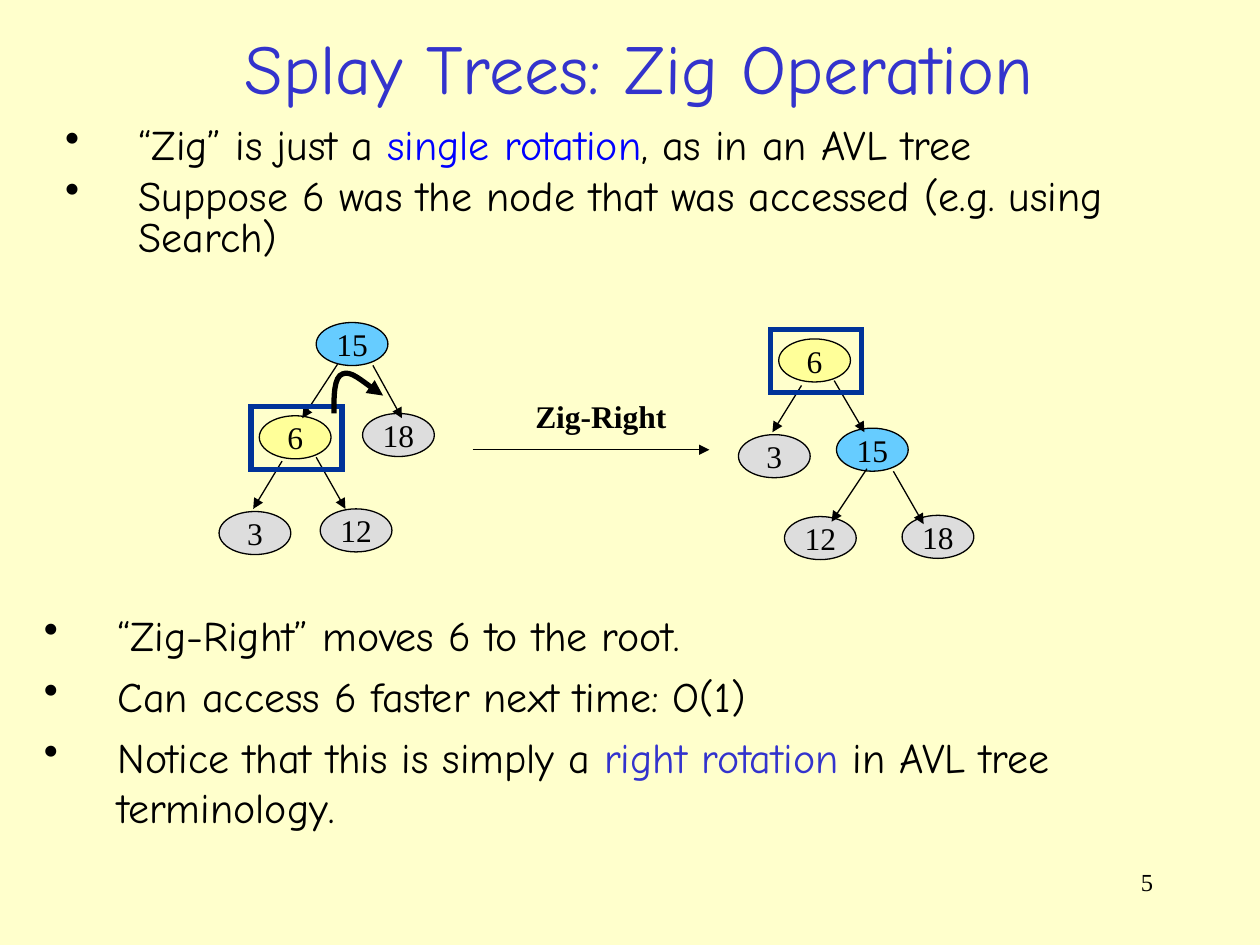
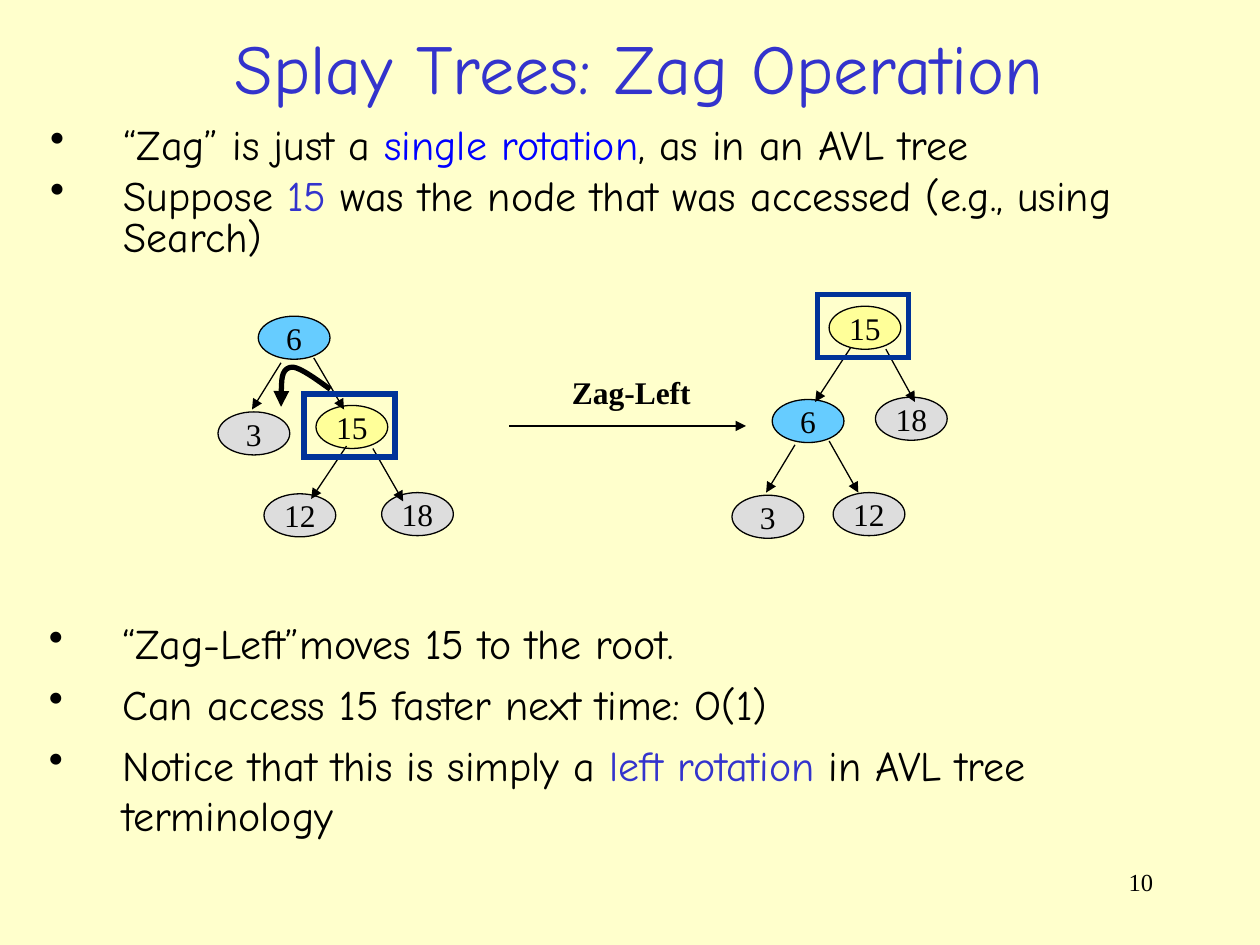
from dataclasses import dataclass

from lxml.etree import SubElement
from pptx import Presentation
from pptx.dml.color import RGBColor
from pptx.enum.shapes import MSO_CONNECTOR, MSO_SHAPE
from pptx.enum.text import MSO_ANCHOR, MSO_AUTO_SIZE, PP_ALIGN
from pptx.oxml.ns import qn
from pptx.util import Pt


@dataclass(frozen=True)
class Theme:
    paper: str = "FFFFCC"
    ink: str = "000000"
    accent: str = "3333CC"
    highlight: str = "0000FF"
    frame: str = "003399"
    accessed: str = "FFFF99"
    partner: str = "66CCFF"
    plain: str = "DDDDDD"
    hand: str = "Comic Neue"
    serif: str = "Times New Roman"
    title_size: int = 40
    body_size: int = 24
    node_size: int = 18
    number_size: int = 14
    thin: float = 0.75
    thick: float = 3


theme = Theme()
INDENT = 42


def write(shape, paragraphs, font, size, colour=theme.ink, bold=None,
          bullet=False, frame=None, **para_format):
    """Fill a shape with paragraphs, each a list of (text, colour or None) spans."""
    for name, value in {"word_wrap": True, **(frame or {})}.items():
        setattr(shape.text_frame, name, value)
    for index, spans in enumerate(paragraphs):
        para = shape.text_frame.add_paragraph() if index else shape.text_frame.paragraphs[0]
        for name, value in para_format.items():
            setattr(para, name, value)
        if bullet:
            settings = para._p.get_or_add_pPr()
            settings.set("marL", str(Pt(INDENT)))
            settings.set("indent", str(-Pt(INDENT)))
            SubElement(SubElement(settings, qn("a:buClr")), qn("a:srgbClr"), val=theme.ink)
            SubElement(settings, qn("a:buChar"), char="•")
        for text, span_colour in spans:
            span = para.add_run()
            span.text = text
            for name, value in {"name": font, "size": Pt(size), "bold": bold}.items():
                setattr(span.font, name, value)
            span.font.color.rgb = RGBColor.from_string(span_colour or colour)


def outline(shape, colour=theme.ink, width=theme.thin, arrow=None):
    """Set a sharp-cornered line and no shadow; arrow is "headEnd" (start) or "tailEnd" (finish)."""
    shape.line.color.rgb = RGBColor.from_string(colour)
    shape.line.width = Pt(width)
    line = shape.line._get_or_add_ln()
    SubElement(line, qn("a:miter"), lim="800000")
    if arrow:
        SubElement(line, qn(f"a:{arrow}"), type="triangle")
    SubElement(shape.element.spPr, qn("a:effectLst"))


NODE_SIZE = Pt(41), Pt(24.6)
FRAME_SIZE = Pt(52), Pt(36)

# Node corners and edge ends, measured from the corner of the root node.
tree_15 = {
    "nodes": {15: (0, 0), 6: (-32.5, 53.3), 18: (26.5, 52), 3: (-55.5, 108), 12: (2.3, 106.5)},
    "edges": [(12.2, 23.8, -8, 54.7), (32.4, 24.5, 49, 54.7),
              (0, 77, 16.7, 106.5), (-19.5, 79.2, -36, 106.5)],
}
tree_6 = {
    "nodes": {6: (0, 0), 15: (33, 51), 18: (70.5, 100.8), 3: (-23, 54.7), 12: (3.3, 101.5)},
    "edges": [(50.4, 74.2, 30.2, 104.4), (65.5, 75.6, 82.8, 105.8),
              (31.7, 23.8, 49, 53.3), (13, 26.6, -3.6, 53.3)],
}
# Start of the rotation curve, then three points for each Bézier segment.
curve_points = [(0, 24.5), (0, 14.4), (0, 3.6), (5, 2),
                (9.4, 0), (24.5, 12.2), (28.1, 14.4)]

operations = [
    {
        "name": "Zig", "turn": "Zig-Right", "number": "5", "accessed": 6,
        "trees": [(tree_15, 180.7, 184.3), (tree_6, 445, 193.7)],
        "frame_offset": (-4.7, -5.4),
        "step_arrow": (270, 257), "label_width": 91,
        "curve": (190.8, 211.7), "curve_arrow": "tailEnd",
        "intro_at": (30.2, 70, 656.6, 85.7),
        "suppose": [("Suppose 6 was the node that was accessed (e.g. using Search)", None)],
        "result_at": (18, 344.9, 686.9, 127.4),
        "moves": "“Zig-Right” moves 6 to the root.",
        "rotation": "right rotation", "ending": " in AVL tree terminology.",
    },
    {
        "name": "Zag", "turn": "Zag-Left", "number": "10", "accessed": 15,
        "trees": [(tree_6, 147.6, 180.7), (tree_15, 473.8, 175)],
        "frame_offset": (-6.8, -6.5),
        "step_arrow": (290.9, 243.4), "label_width": 84,
        "curve": (160.6, 208), "curve_arrow": "headEnd",
        "intro_at": (21.6, 70, 674.6, 85.7),
        "suppose": [("Suppose ", None), ("15", theme.accent),
                    (" was the node that was accessed (e.g., using Search)", None)],
        "result_at": (20.9, 349.2, 680.4, 123.1),
        "moves": "“Zag-Left”moves 15 to the root.",
        "rotation": "left rotation", "ending": " in AVL tree terminology",
    },
]

deck = Presentation()
deck.slide_width, deck.slide_height = Pt(720), Pt(540)

for operation in operations:
    page = deck.slides.add_slide(deck.slide_layouts[6])
    page.background.fill.solid()
    page.background.fill.fore_color.rgb = RGBColor.from_string(theme.paper)
    shapes = page.shapes
    accessed = operation["accessed"]

    number = shapes.add_textbox(Pt(516.2), Pt(491.8), Pt(149.8), Pt(36))
    write(number, [[(operation["number"], None)]], theme.serif, theme.number_size,
          alignment=PP_ALIGN.RIGHT)

    title = shapes.add_textbox(Pt(21.6), Pt(10.8), Pt(686.9), Pt(54.7))
    write(title, [[(f"Splay Trees: {operation['name']} Operation", None)]],
          theme.hand, theme.title_size, theme.accent,
          frame={"vertical_anchor": MSO_ANCHOR.MIDDLE}, alignment=PP_ALIGN.CENTER)

    intro = shapes.add_textbox(*map(Pt, operation["intro_at"]))
    write(intro, [
        [(f"“{operation['name']}” is just a ", None), ("single rotation", theme.highlight),
         (", as in an AVL tree", None)],
        operation["suppose"],
    ], theme.hand, theme.body_size, bullet=True, line_spacing=0.8, space_before=Pt(6))

    result = shapes.add_textbox(*map(Pt, operation["result_at"]))
    write(result, [
        [(operation["moves"], None)],
        [(f"Can access {accessed} faster next time: O(1)", None)],
        [("Notice that this is simply a ", None), (operation["rotation"], theme.accent),
         (operation["ending"], None)],
    ], theme.hand, theme.body_size, bullet=True, space_before=Pt(6))

    for tree, root_x, root_y in operation["trees"]:
        for key, (dx, dy) in tree["nodes"].items():
            node = shapes.add_shape(MSO_SHAPE.OVAL, Pt(root_x + dx), Pt(root_y + dy), *NODE_SIZE)
            fill = theme.plain
            if key in (6, 15):
                fill = theme.accessed if key == accessed else theme.partner
            node.fill.solid()
            node.fill.fore_color.rgb = RGBColor.from_string(fill)
            outline(node)
            write(node, [[(str(key), None)]], theme.serif, theme.node_size,
                  frame={"word_wrap": False, "vertical_anchor": MSO_ANCHOR.MIDDLE},
                  alignment=PP_ALIGN.CENTER)
        for x1, y1, x2, y2 in tree["edges"]:
            edge = shapes.add_connector(MSO_CONNECTOR.STRAIGHT, Pt(root_x + x1), Pt(root_y + y1),
                                        Pt(root_x + x2), Pt(root_y + y2))
            outline(edge, arrow="tailEnd")
        node_x, node_y = tree["nodes"][accessed]
        frame_x, frame_y = operation["frame_offset"]
        frame = shapes.add_shape(MSO_SHAPE.RECTANGLE, Pt(root_x + node_x + frame_x),
                                 Pt(root_y + node_y + frame_y), *FRAME_SIZE)
        frame.fill.background()
        outline(frame, theme.frame, theme.thick)

    step_x, step_y = operation["step_arrow"]
    step = shapes.add_connector(MSO_CONNECTOR.STRAIGHT, Pt(step_x), Pt(step_y),
                                Pt(step_x + 135.4), Pt(step_y))
    outline(step, arrow="tailEnd")
    label = shapes.add_textbox(Pt(step_x + 28.8), Pt(step_y - 33.5),
                               Pt(operation["label_width"]), Pt(28.8))
    write(label, [[(operation["turn"], None)]], theme.serif, theme.node_size, bold=True,
          frame={"word_wrap": False, "auto_size": MSO_AUTO_SIZE.SHAPE_TO_FIT_TEXT})

    curve_x, curve_y = operation["curve"]
    start, *bends = [(Pt(curve_x + x), Pt(curve_y + y)) for x, y in curve_points]
    builder = shapes.build_freeform(*start)
    builder.add_line_segments(bends, close=False)
    curve = builder.convert_to_shape()
    # The builder draws straight lines only, so each three become one Bézier segment.
    track = next(curve.element.iter(qn("a:path")))
    segments = track.findall(qn("a:lnTo"))
    for first in range(0, len(segments), 3):
        bezier = SubElement(track, qn("a:cubicBezTo"))
        for segment in segments[first:first + 3]:
            bezier.append(segment[0])
            track.remove(segment)
    curve.fill.background()
    outline(curve, width=theme.thick, arrow=operation["curve_arrow"])

deck.save("out.pptx")
